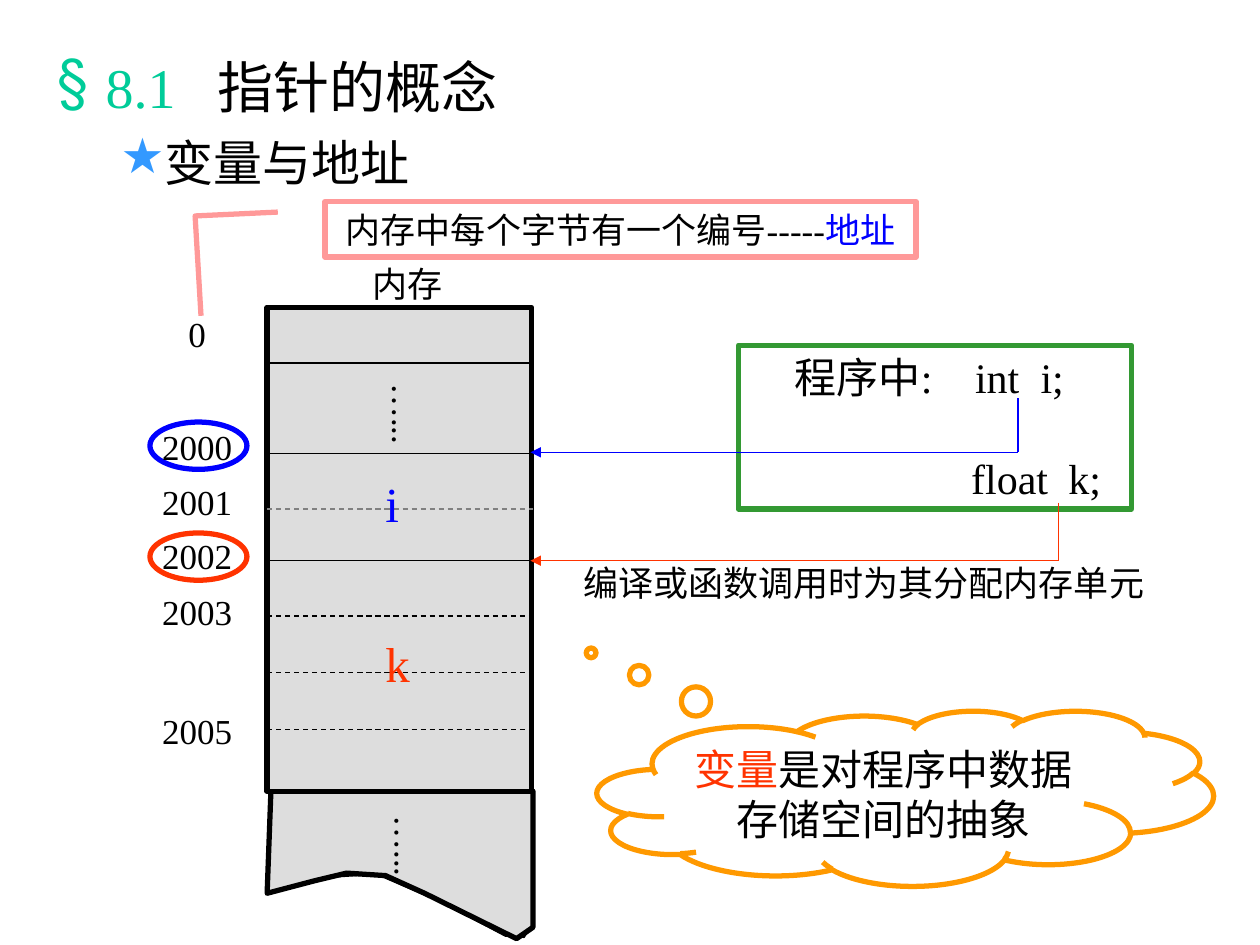
from lxml.etree import SubElement
from pptx import Presentation
from pptx.dml.color import RGBColor
from pptx.enum.dml import MSO_LINE
from pptx.enum.shapes import MSO_CONNECTOR, MSO_SHAPE
from pptx.enum.text import MSO_ANCHOR, MSO_AUTO_SIZE, PP_ALIGN
from pptx.oxml.ns import qn
from pptx.util import Inches, Pt

BLACK = RGBColor(0, 0, 0)
WHITE = RGBColor(255, 255, 255)
GRAY = RGBColor(0x80, 0x80, 0x80)
MEMORY = RGBColor(0xDD, 0xDD, 0xDD)
BLUE = RGBColor(0, 0, 255)
RED = RGBColor(0xFF, 0x33, 0)
GREEN = RGBColor(0x33, 0x99, 0x33)
TEAL = RGBColor(0, 0xCC, 0x99)
SKY = RGBColor(0x33, 0x99, 0xFF)
PINK = RGBColor(0xFF, 0x99, 0x99)
ORANGE = RGBColor(0xFF, 0x99, 0)
FONT = "Times New Roman"
LEFT, RIGHT = 21.2, 42.3
DASH = MSO_LINE.DASH


def grid(n):
    """Length of n cells on a grid of 100 columns by 75 rows."""
    return Inches(n / 10)


def apply(obj, formats):
    """Set each format value on an object."""
    for name, value in formats.items():
        setattr(obj, name, value)


def outline(s, fill, color, width):
    """Give a shape its fill and line, without shadow."""
    s.shadow.inherit = False
    if fill is None:
        s.fill.background()
    else:
        s.fill.solid()
        s.fill.fore_color.rgb = fill
    s.line.color.rgb = color
    s.line.width = Pt(width)
    return s


def shape(slide, kind, at, color, fill=None, adjust=()):
    """Add a preset shape with a 3 pt line."""
    s = slide.shapes.add_shape(kind, *map(grid, at))
    for i, value in enumerate(adjust):
        s.adjustments[i] = value
    return outline(s, fill, color, 3)


def freeform(slide, points, fill, width, close):
    """Add an outline through grid points."""
    start, *rest = [(grid(x), grid(y)) for x, y in points]
    builder = slide.shapes.build_freeform(*start)
    builder.add_line_segments(rest, close=close)
    return outline(builder.convert_to_shape(), fill, BLACK, width)


def line(slide, start, end, color=BLACK, dash=None, arrow=False):
    """Add a thin straight line, with an optional arrowhead at its start."""
    c = slide.shapes.add_connector(
        MSO_CONNECTOR.STRAIGHT, *map(grid, (*start, *end)))
    c.line.color.rgb = color
    apply(c.line, {"width": Pt(0.75), "dash_style": dash})
    if arrow:
        SubElement(c.line._get_or_add_ln(), qn("a:headEnd"), type="triangle")
    SubElement(c._element.spPr, qn("a:effectLst"))


def bullet(p, char, color, margin, hang):
    """Give a paragraph a hanging coloured bullet."""
    pPr = p._p.get_or_add_pPr()
    pPr.set("marL", str(Inches(margin)))
    pPr.set("indent", str(-Inches(hang)))
    clr = SubElement(pPr, qn("a:buClr"))
    SubElement(clr, qn("a:srgbClr"), val=str(color))
    SubElement(pPr, qn("a:buChar"), char=char)


def tabs(p, stops):
    """Set the left tab stops of a paragraph, in inches."""
    tab_list = SubElement(p._p.get_or_add_pPr(), qn("a:tabLst"))
    for stop in stops:
        SubElement(tab_list, qn("a:tab"), pos=str(Inches(stop)), algn="l")


def write(p, runs, size, formats):
    """Fill a paragraph with (text, colour) runs."""
    apply(p, formats)
    for text, color in runs:
        r = p.add_run()
        r.text = text
        apply(r.font, {"name": FONT, "size": Pt(size)})
        r.font.color.rgb = color


def fill_text(s, lines, size, align=PP_ALIGN.CENTER, anchor=MSO_ANCHOR.MIDDLE):
    """Write unwrapped lines of runs into a shape."""
    tf = s.text_frame
    apply(tf, {"word_wrap": False, "vertical_anchor": anchor,
               "auto_size": MSO_AUTO_SIZE.NONE})
    for i, runs in enumerate(lines):
        p = tf.add_paragraph() if i else tf.paragraphs[0]
        write(p, runs, size, {"alignment": align})


def label(slide, at, text, size=20, color=BLACK, align=PP_ALIGN.CENTER):
    """Add a one-line text box."""
    s = slide.shapes.add_textbox(*map(grid, at))
    fill_text(s, [[(text, color)]], size, align)
    return s


def heading(slide):
    """Add the section title and its topic."""
    tf = slide.shapes.add_textbox(*map(grid, (3.6, 3.7, 93.3, 10.8))).text_frame
    tf.word_wrap = True
    title, topic = tf.paragraphs[0], tf.add_paragraph()
    bullet(title, "§", TEAL, 0.38, 0.38)
    tabs(title, [1.27])
    write(title, [("8.1\t", TEAL), ("指针的概念", BLACK)], 32, {})
    bullet(topic, "★", SKY, 0.81, 0.31)
    write(topic, [("变量与地址", BLACK)], 28, {"space_before": Pt(7)})


def program(slide):
    """Add the box with the declarations."""
    s = shape(slide, MSO_SHAPE.RECTANGLE, (58.6, 27.4, 31.2, 13), GREEN)
    tf = s.text_frame
    apply(tf, {"word_wrap": True, "vertical_anchor": MSO_ANCHOR.MIDDLE})
    rows = [("\t程序中:\tint\ti;", (0.35, 1.78, 2.3), 0),
            ("\tfloat\tk;", (1.75, 2.52), 29)]
    for i, (text, stops, gap) in enumerate(rows):
        p = tf.add_paragraph() if i else tf.paragraphs[0]
        tabs(p, stops)
        write(p, [(text, BLACK)], 24,
              {"alignment": PP_ALIGN.LEFT, "space_before": Pt(gap)})


def memory(slide):
    """Draw the memory column with its cells and addresses."""
    freeform(slide, [(21.2, 71), (25, 69.7), (29.9, 69.4), (35, 71.6),
                     (40.1, 74.3), (41.6, 74.4), (42.3, 73.3)],
             None, 0.75, False)
    freeform(slide, [(21.5, 62.8), (42.3, 62.8), (42.3, 73.6), (41, 74.5),
                     (33.7, 70.9), (30.6, 69.5), (27.5, 69.3), (25, 69.9),
                     (21.2, 70.9)], MEMORY, 3, True)
    shape(slide, MSO_SHAPE.RECTANGLE, (LEFT, 24.4, 21, 38.4), BLACK, MEMORY)
    for y, color, dash in [(28.8, BLACK, None), (36, BLACK, None),
                           (40.4, GRAY, DASH), (44.5, BLACK, None),
                           (48.9, BLACK, DASH), (53.4, BLACK, DASH),
                           (57.9, BLACK, DASH)]:
        line(slide, (LEFT, y), (RIGHT, y), color, dash)
    for x, y in [(29.6, 29.4), (29.8, 63.7)]:
        s = label(slide, (x, y, 5.3, 5.9), "…...")
        s.text_frame._txBody.bodyPr.set("vert", "eaVert")
        apply(s.text_frame, {
            "margin_left": grid(0.5), "margin_right": grid(0.5),
            "margin_top": grid(1), "margin_bottom": grid(1)})
    for y, text in [(24.3, "0"), (33.2, "2000"), (37.6, "2001"),
                    (41.9, "2002"), (46.3, "2003"), (55.8, "2005")]:
        label(slide, (11.9, y, 7.5, 4.4), text)
    label(slide, (28.6, 20.3, 7.5, 4.4), "内存")
    for y, text, color in [(37.1, "i", BLUE), (49.8, "k", RED)]:
        label(slide, (29.6, y, 3.9, 5.7), text, 28, color, PP_ALIGN.LEFT)


def main():
    """Build the slide."""
    prs = Presentation()
    apply(prs, {"slide_width": grid(100), "slide_height": grid(75)})
    slide = prs.slides.add_slide(prs.slide_layouts[6])
    for y, color in [(42.3, RED), (33.5, BLUE)]:
        shape(slide, MSO_SHAPE.OVAL, (11.9, y, 7.7, 3.75), color, WHITE)
    heading(slide)
    program(slide)
    s = shape(slide, MSO_SHAPE.LINE_CALLOUT_2, (25.8, 16, 46.9, 4.4), PINK,
              adjust=(0.19, -0.08, 0.26, -0.22, 2.06, -0.21))
    fill_text(s, [[("内存中每个字节有一个编号-----", BLACK), ("地址", BLUE)]], 20)
    memory(slide)
    label(slide, (45.3, 44, 46.5, 4.4), "编译或函数调用时为其分配内存单元",
          align=PP_ALIGN.LEFT)
    for x, top, y, color in [(80.8, 31.6, 35.9, BLUE), (84, 39.9, 44.5, RED)]:
        line(slide, (x, top), (x, y), color)
        line(slide, (42.1, y), (x, y), color, arrow=True)
    s = shape(slide, MSO_SHAPE.CLOUD_CALLOUT, (47.4, 56.4, 48.9, 13.9), ORANGE,
              adjust=(-0.51, -0.83))
    fill_text(s, [[("变量", RED), ("是对程序中数据", BLACK)],
                  [("存储空间的抽象", BLACK)]], 24, anchor=MSO_ANCHOR.TOP)
    prs.save("out.pptx")


if __name__ == "__main__":
    main()
